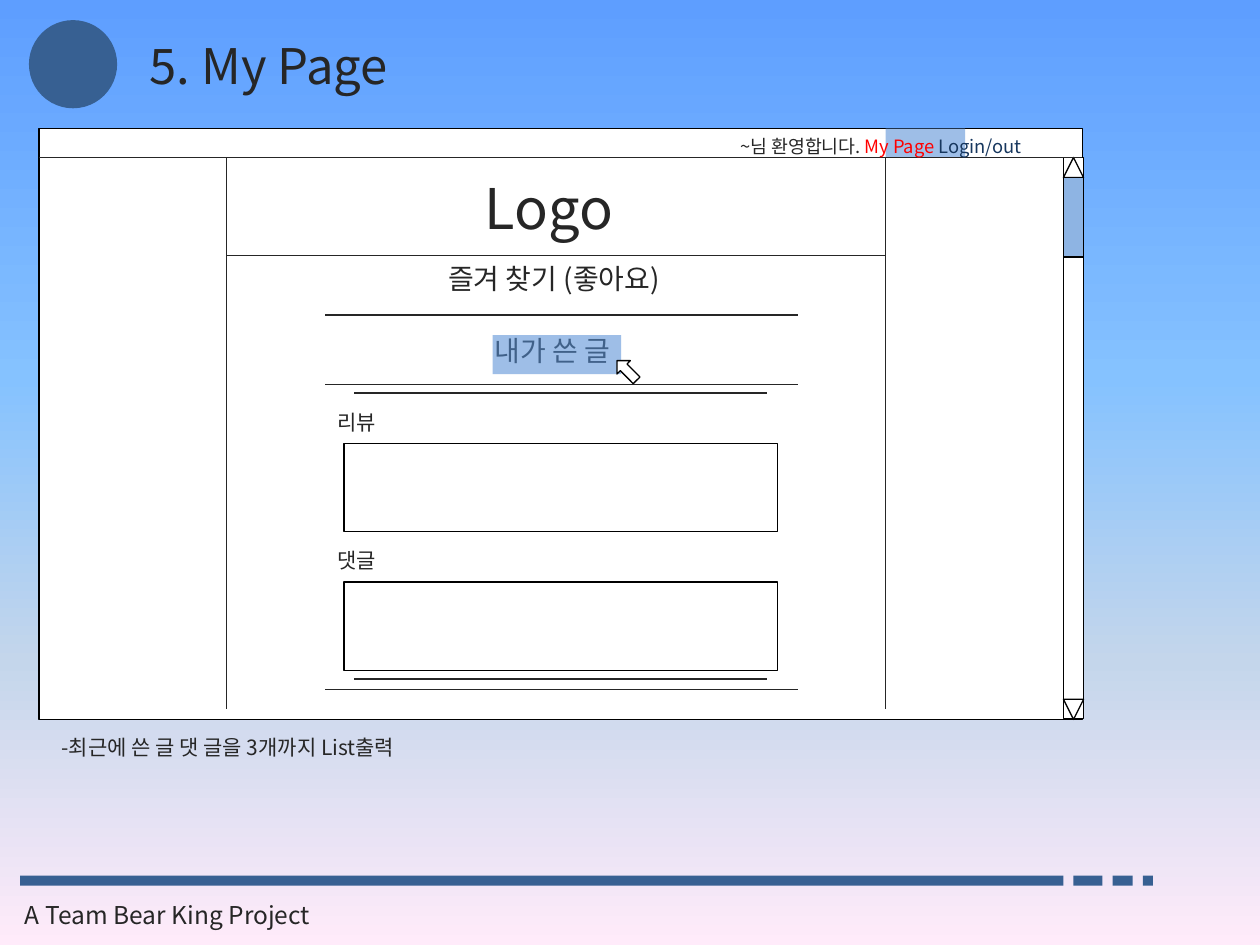
from dataclasses import dataclass

from lxml import etree
from pptx import Presentation
from pptx import util as u
from pptx.dml.color import RGBColor
from pptx.enum import shapes, text
from pptx.oxml import parse_xml
from pptx.oxml.ns import nsdecls, qn

FONT = "Noto Sans CJK KR"
KIND = shapes.MSO_SHAPE
COLORS = {
    "bar": "376092", "ink": "262626", "outline": "000000", "paper": "FFFFFF",
    "highlight": "558ED5", "thumb": "8EB4E3", "active": "FF0000", "login": "17375E",
}
SKY = {0: "5E9EFF", 40: "85C2FF", 70: "C4D6EB", 100: "FFEBFA"}


@dataclass
class Block:
    left: float
    top: float
    width: float
    height: float
    fill: str = "paper"
    outlined: bool = True
    kind: int = KIND.RECTANGLE
    rotation: float = 0
    alpha: int = 100


@dataclass
class Label:
    left: float
    top: float
    width: float
    height: float
    size: float
    runs: list[tuple[str, str]]
    wrap: bool = False


@dataclass
class Rule:
    x1: float
    y1: float
    x2: float
    y2: float


def color(name: str) -> RGBColor:
    """Look up a named colour."""
    return RGBColor.from_string(COLORS[name])


def paint_sky(slide) -> None:
    """Give the slide its vertical gradient background."""
    stops = "".join(
        f'<a:gs pos="{at * 1000}"><a:srgbClr val="{tone}"/></a:gs>' for at, tone in SKY.items()
    )
    slide.element.cSld.insert(0, parse_xml(
        f'<p:bg {nsdecls("p", "a")}><p:bgPr><a:gradFill rotWithShape="1"><a:gsLst>{stops}</a:gsLst>'
        '<a:lin ang="5400000" scaled="0"/></a:gradFill><a:effectLst/></p:bgPr></p:bg>'
    ))


def draw_block(slide, block: Block) -> None:
    """Draw a filled preset shape."""
    box = map(u.Inches, (block.left, block.top, block.width, block.height))
    shape = slide.shapes.add_shape(block.kind, *box)
    shape.shadow.inherit = False
    shape.rotation = block.rotation
    shape.fill.solid()
    shape.fill.fore_color.rgb = color(block.fill)
    if block.alpha < 100:
        tone = shape.element.spPr.find(qn("a:solidFill")).find(qn("a:srgbClr"))
        etree.SubElement(tone, qn("a:alpha")).set("val", str(block.alpha * 1000))
    if block.outlined:
        shape.line.color.rgb = color("outline")
        shape.line.width = u.Pt(0.75)
    else:
        shape.line.fill.background()


def draw_rule(slide, rule: Rule) -> None:
    """Draw a thin straight line."""
    ends = map(u.Inches, (rule.x1, rule.y1, rule.x2, rule.y2))
    line = slide.shapes.add_connector(shapes.MSO_CONNECTOR.STRAIGHT, *ends)
    line.line.color.rgb = color("ink")
    line.line.width = u.Pt(0.75)
    etree.SubElement(line.element.spPr, qn("a:effectLst"))


def draw_label(slide, label: Label) -> None:
    """Write one line of coloured runs."""
    box = map(u.Inches, (label.left, label.top, label.width, label.height))
    frame = slide.shapes.add_textbox(*box).text_frame
    frame.word_wrap = label.wrap
    frame.auto_size = text.MSO_AUTO_SIZE.SHAPE_TO_FIT_TEXT
    for words, tone in label.runs:
        run = frame.paragraphs[0].add_run()
        run.text = words
        run.font.color.rgb = color(tone)
        for key, value in {"size": u.Pt(label.size), "name": FONT}.items():
            setattr(run.font, key, value)
        etree.SubElement(run.font._element, qn("a:ea")).set("typeface", FONT)


def main() -> None:
    """Build the My Page wireframe slide."""
    deck = Presentation()
    deck.slide_width, deck.slide_height = u.Inches(10), u.Inches(7.5)
    slide = deck.slides.add_slide(deck.slide_layouts[6])
    paint_sky(slide)

    dash_left = 0.16
    for dash_width in (8.28, 0.23, 0.16, 0.08):
        draw_block(slide, Block(dash_left, 6.95, dash_width, 0.08, "bar", False))
        dash_left += dash_width + 0.08

    page = [
        Block(0.23, 0.16, 0.7, 0.7, "bar", False, KIND.OVAL),
        Block(0.31, 1.02, 8.28, 4.69),
        Block(7.03, 1.02, 0.63, 0.23, "highlight", False, alpha=57),
    ]
    scrollbar = [
        Block(8.44, 1.25, 0.16, 4.45),
        Block(8.44, 1.25, 0.16, 0.16, kind=KIND.ISOSCELES_TRIANGLE),
        Block(8.44, 5.55, 0.16, 0.16, kind=KIND.ISOSCELES_TRIANGLE, rotation=180),
        Block(8.44, 1.41, 0.16, 0.63, "thumb"),
    ]
    for block in page + scrollbar:
        draw_block(slide, block)

    rules = [Rule(0.31, 1.25, 8.59, 1.25), Rule(1.8, 2.03, 7.03, 2.03)]
    rules += [Rule(x, 1.25, x, 5.63) for x in (1.8, 7.03)]
    rules += [Rule(2.58, y, 6.33, y) for y in (2.5, 3.05, 5.47)]
    rules += [Rule(2.81, y, 6.09, y) for y in (3.12, 5.39)]
    for rule in rules:
        draw_rule(slide, rule)

    welcome = [("~님 환영합니다. ", "ink"), ("My Page ", "active"), ("Login/out", "login")]
    labels = [
        Label(1.09, 0.23, 2.48, 0.57, 28, [("5. My Page", "ink")]),
        Label(5.78, 1.02, 2.81, 0.28, 10.5, welcome),
        Label(3.75, 1.33, 1.4, 0.64, 32, [("Logo", "ink")]),
        Label(3.46, 2.03, 2.13, 0.37, 16, [("즐겨 찾기 (좋아요)", "ink")]),
        Label(3.83, 2.6, 1.25, 0.37, 16, [("내가 쓴 글", "ink")]),
        Label(0.39, 5.78, 8.2, 0.3, 12, [("-최근에 쓴 글 댓 글을 3개까지 List출력", "ink")], True),
        Label(0.1, 7.09, 2.93, 0.34, 14, [("A Team Bear King Project", "ink")]),
    ]
    for label in labels:
        draw_label(slide, label)

    for row, heading in enumerate(("리뷰", "댓글")):
        top = 3.2 + 1.1 * row
        draw_label(slide, Label(2.58, top, 0.54, 0.3, 12, [(heading, "ink")]))
        draw_block(slide, Block(2.73, top + 0.32, 3.44, 0.7))

    draw_block(slide, Block(3.91, 2.66, 1.02, 0.31, "highlight", False, alpha=57))
    draw_block(slide, Block(4.9, 2.83, 0.15, 0.22, kind=KIND.UP_ARROW, rotation=315.2))
    deck.save("out.pptx")


if __name__ == "__main__":
    main()
